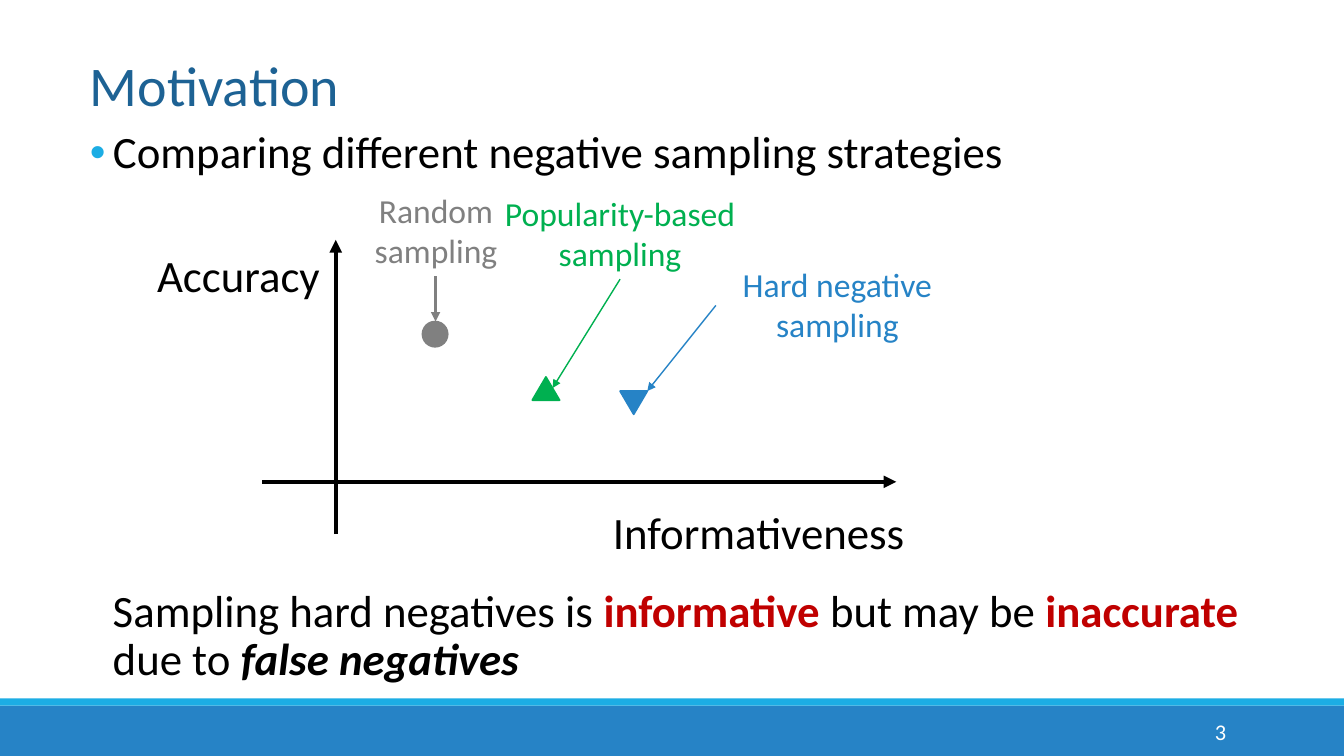
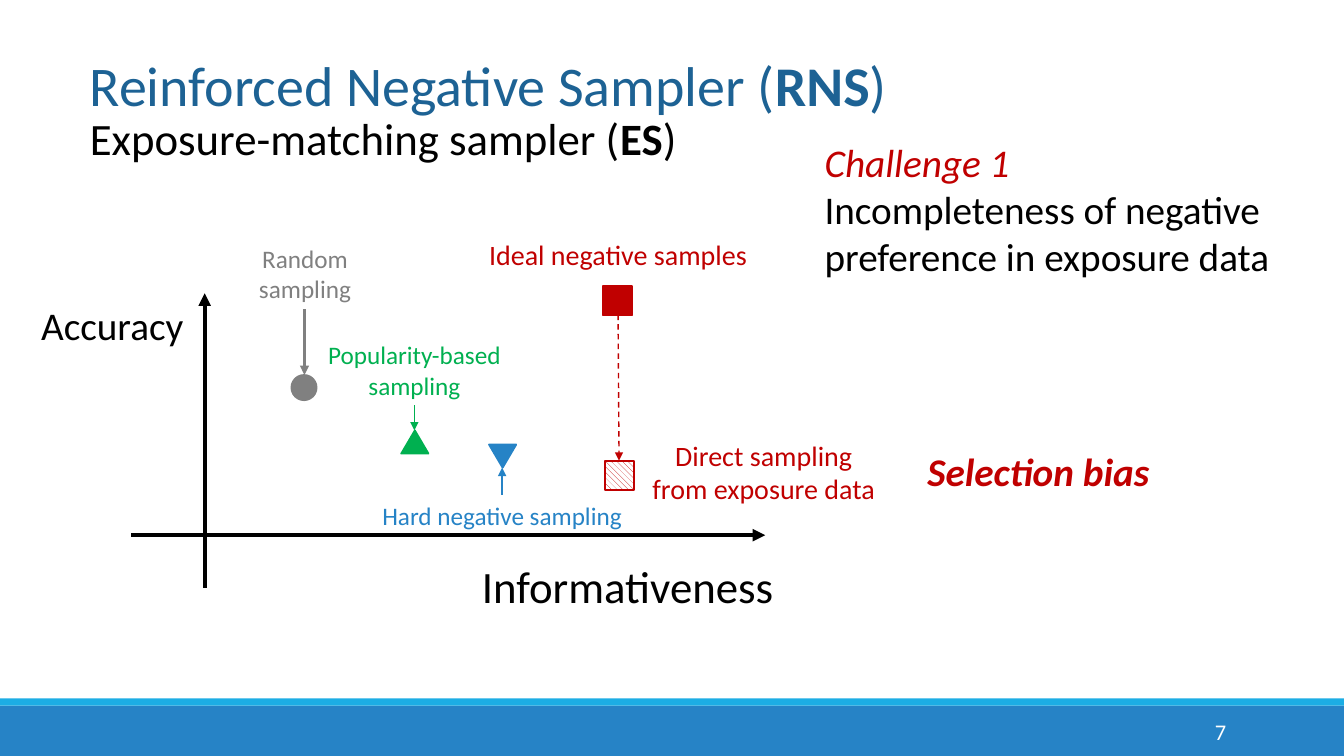
from lxml import etree
from pptx import Presentation
from pptx.dml.color import RGBColor
from pptx.enum.dml import MSO_LINE, MSO_PATTERN
from pptx.enum.shapes import MSO_CONNECTOR, MSO_SHAPE
from pptx.enum.text import MSO_ANCHOR, MSO_AUTO_SIZE, PP_ALIGN
from pptx.oxml.ns import qn
from pptx.util import Inches, Pt

FONT = "Calibri"
BLACK = RGBColor(0x00, 0x00, 0x00)
WHITE = RGBColor(0xFF, 0xFF, 0xFF)
GRAY = RGBColor(0x80, 0x80, 0x80)
GREEN = RGBColor(0x00, 0xB0, 0x50)
BLUE = RGBColor(0x26, 0x83, 0xC6)
CYAN = RGBColor(0x1C, 0xAD, 0xE4)
RED = RGBColor(0xC0, 0x00, 0x00)
TITLE_BLUE = RGBColor(0x1D, 0x62, 0x94)

LEFT, CENTER, RIGHT = PP_ALIGN.LEFT, PP_ALIGN.CENTER, PP_ALIGN.RIGHT
TOP, MIDDLE = MSO_ANCHOR.TOP, MSO_ANCHOR.MIDDLE
NO_FIT = MSO_AUTO_SIZE.NONE
RECT, OVAL, TRIANGLE = MSO_SHAPE.RECTANGLE, MSO_SHAPE.OVAL, MSO_SHAPE.ISOSCELES_TRIANGLE
STRAIGHT, DASH = MSO_CONNECTOR.STRAIGHT, MSO_LINE.DASH
HATCH = MSO_PATTERN.WIDE_DOWNWARD_DIAGONAL

BOLD = {"bold": True}
ITALIC_RED = {"italic": True, "color": RED}
BOLD_RED = {"bold": True, "color": RED}
BOLD_ITALIC = {"bold": True, "italic": True}

# Shared frame: bands and title position
BANDS = [((0, 7, 13.33, 0.5), BLUE), ((0, 6.93, 13.33, 0.07), CYAN)]
TITLE_BOX = (0.79, 0.45, 10.63, 0.77)
NUMBER_BOX = (10.83, 7.06, 1.43, 0.4)

# Samplers: shape, offset from the plot origin, size, rotation, colour, arrow width
SAMPLERS = {
    "random": (OVAL, (0.86, -1.59), (0.25, 0.25), 0, GRAY, 2.25),
    "popular": (TRIANGLE, (1.95, -1.04), (0.27, 0.23), 0, GREEN, 1),
    "hard": (TRIANGLE, (2.82, -0.9), (0.27, 0.23), 180, BLUE, 1),
}

# Text is a list of paragraphs, each a list of (text, format) runs
MOTIVATION = {
    "number": "3",
    "title": [("Motivation", {})],
    "body": [("Comparing different negative sampling strategies", {})],
    "body_box": (0.79, 1.24, 10.27, 0.59),
    "bullet": True,
    "origin": (3.33, 4.78),
    "accuracy": (1.87, 0.64, 32),
    "label_size": 24,
    # sampler, label lines, label box, arrow start, arrow end
    "labels": [
        ("random", ["Random", "sampling"], (3.41, 1.83, 1.83, 0.91), (4.32, 2.74), (4.32, 3.19)),
        ("popular", ["Popularity-based", "sampling"], (4.73, 1.86, 2.84, 0.91),
         (6.15, 2.77), (5.48, 3.85)),
        ("hard", ["Hard negative", "sampling"], (7.1, 2.57, 2.41, 0.91), (7.1, 3.03), (6.42, 3.88)),
    ],
}
CONCLUSION = [[
    ("Sampling hard negatives is ", {}), ("informative", BOLD_RED),
    (" but may be ", {}), ("inaccurate", BOLD_RED),
    (" due to ", {}), ("false negatives", BOLD_ITALIC),
]]

SAMPLER = {
    "number": "7",
    "title": [("Reinforced Negative Sampler (", {}), ("RNS", BOLD), (")", {})],
    "body": [("Exposure-matching sampler (", {}), ("ES", BOLD), (")", {})],
    "body_box": (0.79, 1.05, 6.64, 0.64),
    "bullet": False,
    "origin": (2.03, 5.31),
    "accuracy": (1.72, 0.57, 28),
    "label_size": 18,
    "labels": [
        ("random", ["Random", "sampling"], (2.11, 2.36, 1.83, 0.71), (3.02, 3.07), (3.02, 3.72)),
        ("popular", ["Popularity-based", "sampling"], (2.69, 3.32, 2.84, 0.71),
         (4.11, 4.02), (4.11, 4.27)),
        ("hard", ["Hard negative sampling"], (3.4, 4.91, 3.16, 0.4), (4.98, 4.91), (4.98, 4.64)),
    ],
}
EXPOSURE_LABELS = [
    ("Ideal negative samples", (4.55, 2.31, 3.16, 0.44)),
    ("Direct sampling from exposure data", (6.36, 4.3, 2.43, 0.77)),
]
CHALLENGE = [[("Challenge 1", ITALIC_RED)],
             [("Incompleteness of negative preference in exposure data", {})]]
BIAS = [[("Selection bias", {**BOLD_RED, "italic": True})]]


def inches(values):
    return [Inches(value) for value in values]


def place(shape, box):
    for name, value in zip(("left", "top", "width", "height"), inches(box)):
        setattr(shape, name, value)


def write_runs(para, runs, size, color):
    for text, extra in runs:
        span = para.add_run()
        span.text = text
        values = {"name": FONT, "size": Pt(size), "bold": False, "italic": False, **extra}
        span.font.color.rgb = values.pop("color", color)
        for name, value in values.items():
            setattr(span.font, name, value)


def write(frame, paras, size, color=BLACK, align=LEFT, anchor=TOP, spacing=1.0):
    for name, value in {"word_wrap": True, "auto_size": NO_FIT,
                        "vertical_anchor": anchor}.items():
        setattr(frame, name, value)
    for index, runs in enumerate(paras):
        para = frame.add_paragraph() if index else frame.paragraphs[0]
        for name, value in {"alignment": align, "line_spacing": spacing,
                            "space_before": Pt(0)}.items():
            setattr(para, name, value)
        write_runs(para, runs, size, color)


def add_text(page, box, paras, size, **style):
    write(page.shapes.add_textbox(*inches(box)).text_frame, paras, size, **style)


def add_marker(page, kind, box, color, rotation=0, hatched=False):
    marker = page.shapes.add_shape(kind, *inches(box))
    marker.shadow.inherit = False
    marker.rotation = rotation
    if hatched:
        marker.fill.patterned()
        marker.fill.pattern = HATCH
        marker.fill.fore_color.rgb = color
        marker.fill.back_color.rgb = WHITE
    else:
        marker.fill.solid()
        marker.fill.fore_color.rgb = color
    marker.line.color.rgb = color
    marker.line.width = Pt(1.25)
    return marker


def add_arrow(page, start, end, color, width, dash=None):
    arrow = page.shapes.add_connector(STRAIGHT, *inches(start + end))
    arrow.line.color.rgb = color
    arrow.line.width = Pt(width)
    if dash:
        arrow.line.dash_style = dash
    properties = arrow.element.spPr
    etree.SubElement(properties.find(qn("a:ln")), qn("a:tailEnd"), type="triangle")
    etree.SubElement(properties, qn("a:effectLst"))


def set_bullet(para, shown):
    properties = para._p.get_or_add_pPr()
    indent = Inches(0.23) if shown else 0
    properties.set("marL", str(indent))
    properties.set("indent", str(-indent))
    if shown:
        tint = etree.SubElement(properties, qn("a:buClr"))
        etree.SubElement(tint, qn("a:srgbClr"), val=str(CYAN))
        etree.SubElement(properties, qn("a:buChar"), char="•")
    else:
        etree.SubElement(properties, qn("a:buNone"))


def add_bands(page, master):
    """Draw the bands once and move them to the slide master."""
    for box, color in BANDS:
        band = add_marker(page, RECT, box, color)
        band.line.fill.background()
        master.shapes.element.append(band.element)


def add_page(deck, layout, content):
    page = deck.slides.add_slide(layout)
    write(page.shapes.title.text_frame, [content["title"]], 40, TITLE_BLUE)
    body = page.placeholders[1]
    place(body, content["body_box"])
    write(body.text_frame, [content["body"]], 32, spacing=0.9 if content["bullet"] else 1.0)
    set_bullet(body.text_frame.paragraphs[0], content["bullet"])
    add_text(page, NUMBER_BOX, [[(content["number"], {})]], 16,
             color=WHITE, align=RIGHT, anchor=MIDDLE)
    return page


def add_plot(page, content):
    x, y = content["origin"]
    # Axes and their names
    add_arrow(page, (x, y + 0.52), (x, y - 2.4), BLACK, 3)
    add_arrow(page, (x - 0.73, y), (x + 5.56, y), BLACK, 3)
    width, height, size = content["accuracy"]
    add_text(page, (x - width, y - 2.37, width, height), [[("Accuracy", {})]], size)
    add_text(page, (x + 2.65, y + 0.18, 3.52, 0.64), [[("Informativeness", {})]], 32)
    # Samplers with label and arrow
    for name, lines, box, start, end in content["labels"]:
        kind, (dx, dy), extent, rotation, color, weight = SAMPLERS[name]
        add_marker(page, kind, (x + dx, y + dy, *extent), color, rotation)
        add_text(page, box, [[(line, {})] for line in lines], content["label_size"],
                 color=color, align=CENTER)
        add_arrow(page, start, end, color, weight)


def main():
    deck = Presentation()
    deck.slide_width, deck.slide_height = inches((13.33, 7.5))
    layout = deck.slide_layouts[1]
    place(layout.placeholders[0], TITLE_BOX)

    # Motivation
    page = add_page(deck, layout, MOTIVATION)
    add_bands(page, deck.slide_master)
    add_plot(page, MOTIVATION)
    add_text(page, (1.02, 5.79, 11.47, 1.07), CONCLUSION, 32, spacing=0.9)

    # Exposure-matching sampler
    page = add_page(deck, layout, SAMPLER)
    add_plot(page, SAMPLER)
    add_marker(page, RECT, (5.98, 2.84, 0.29, 0.29), RED)
    add_marker(page, RECT, (6, 4.57, 0.29, 0.29), RED, hatched=True)
    add_arrow(page, (6.13, 3.12), (6.14, 4.57), RED, 1, DASH)
    for text, box in EXPOSURE_LABELS:
        add_text(page, box, [[(text, {})]], 20, color=RED, align=CENTER)
    add_text(page, (8.08, 1.32, 4.81, 1.51), CHALLENGE, 28)
    add_text(page, (9.1, 4.39, 2.6, 0.57), BIAS, 28)

    deck.save("out.pptx")


if __name__ == "__main__":
    main()
